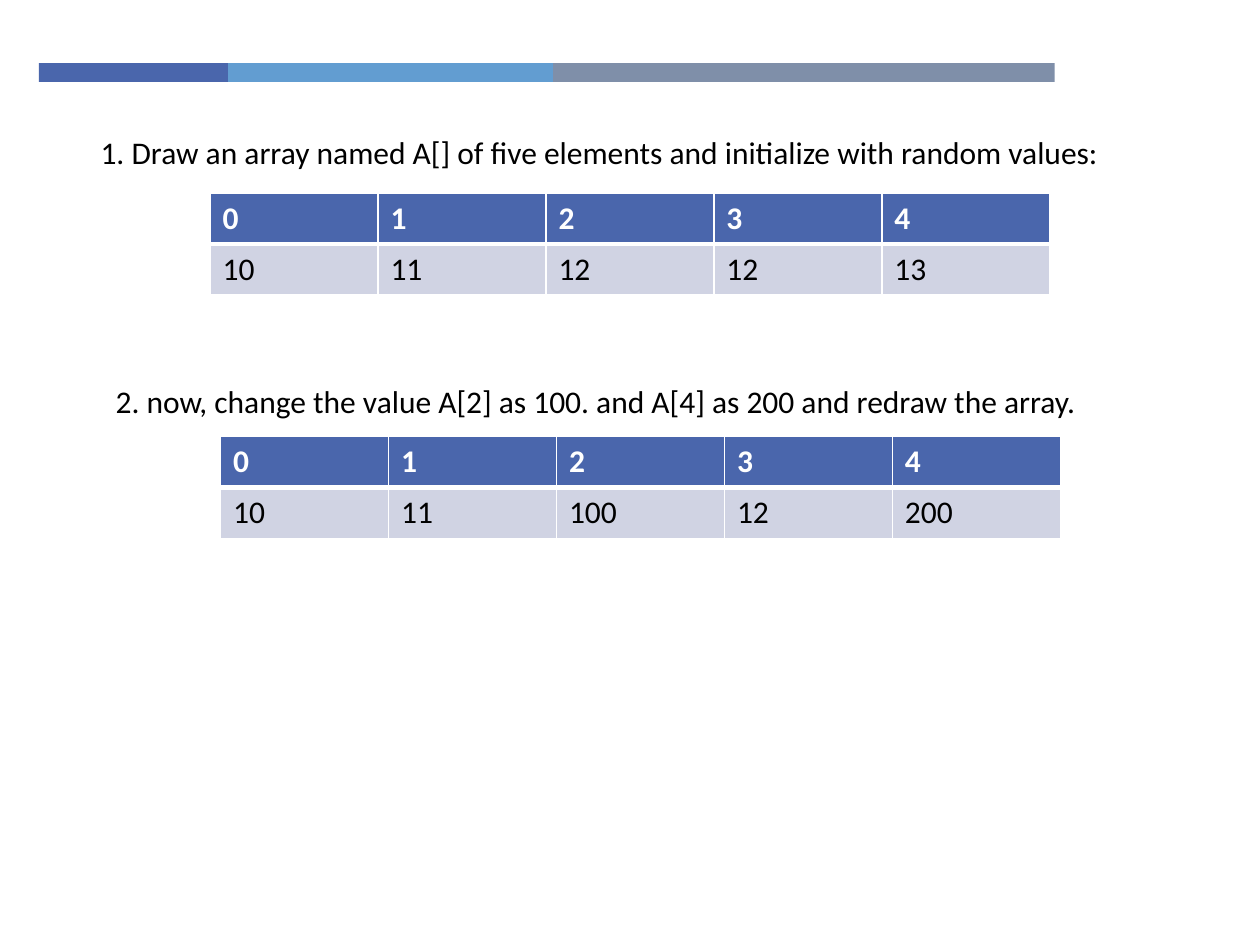
from lxml.etree import SubElement
from pptx import Presentation
from pptx.dml.color import RGBColor
from pptx.enum.shapes import MSO_SHAPE
from pptx.enum.text import MSO_AUTO_SIZE
from pptx.oxml.ns import qn
from pptx.util import Pt

NAVY = RGBColor(0x4A, 0x66, 0xAC)
SKY = RGBColor(0x62, 0x9D, 0xD1)
SLATE = RGBColor(0x7F, 0x8F, 0xA9)
PALE = RGBColor(0xD0, 0xD3, 0xE3)
WHITE = RGBColor(0xFF, 0xFF, 0xFF)
BLACK = RGBColor(0, 0, 0)

COLUMN_WIDTH, ROW_HEIGHT = 96, 29.2


def add_text(text_frame, text, color, bold=False):
    run = text_frame.paragraphs[0].add_run()
    run.text = text
    run.font.name = "Calibri"
    run.font.size = Pt(18)
    run.font.bold = bold
    run.font.color.rgb = color


def add_borders(cell, widths):
    """Draw white cell borders; widths maps each side (L, R, T, B) to points."""
    properties = cell._tc.get_or_add_tcPr()
    for side, width in widths.items():
        line = SubElement(properties, qn(f"a:ln{side}"), w=str(Pt(width)))
        fill = SubElement(line, qn("a:solidFill"))
        SubElement(fill, qn("a:srgbClr"), val=str(WHITE))


presentation = Presentation()
presentation.slide_width, presentation.slide_height = Pt(720), Pt(540)
slide = presentation.slides.add_slide(presentation.slide_layouts[6])

# Colour band across the top
left = 22.3
for width, color in [(108, NAVY), (185.8, SKY), (286.6, SLATE)]:
    band = slide.shapes.add_shape(
        MSO_SHAPE.RECTANGLE, Pt(left), Pt(36), Pt(width), Pt(10.8))
    band.shadow.inherit = False
    band.fill.solid()
    band.fill.fore_color.rgb = color
    band.line.fill.background()
    left += width

# Each exercise: caption, its left, top and width, table left and top, values
exercises = [
    ("1. Draw an array named A[] of five elements and initialize with random values:",
     50.4, 72.3, 587.5, 120, 110.3, [10, 11, 12, 12, 13]),
    ("2. now, change the value A[2] as 100. and A[4] as 200 and redraw the array.",
     59, 214.9, 566.6, 126, 249.4, [10, 11, 100, 12, 200]),
]
for caption, left, top, width, table_left, table_top, values in exercises:
    text_box = slide.shapes.add_textbox(Pt(left), Pt(top), Pt(width), Pt(29))
    text_box.text_frame.word_wrap = False
    text_box.text_frame.auto_size = MSO_AUTO_SIZE.SHAPE_TO_FIT_TEXT
    add_text(text_box.text_frame, caption, BLACK)

    table = slide.shapes.add_table(
        2, len(values), Pt(table_left), Pt(table_top),
        Pt(COLUMN_WIDTH * len(values)), Pt(2 * ROW_HEIGHT)).table
    for row in table.rows:
        row.height = Pt(ROW_HEIGHT)
    for index, value in enumerate(values):
        table.columns[index].width = Pt(COLUMN_WIDTH)
        header, body = table.cell(0, index), table.cell(1, index)
        add_borders(header, {"L": 1, "R": 1, "T": 1, "B": 3})
        add_borders(body, {"L": 1, "R": 1, "T": 3, "B": 1})
        for cell, color in [(header, NAVY), (body, PALE)]:
            cell.fill.solid()
            cell.fill.fore_color.rgb = color
        add_text(header.text_frame, str(index), WHITE, bold=True)
        add_text(body.text_frame, str(value), BLACK)

presentation.save("out.pptx")
